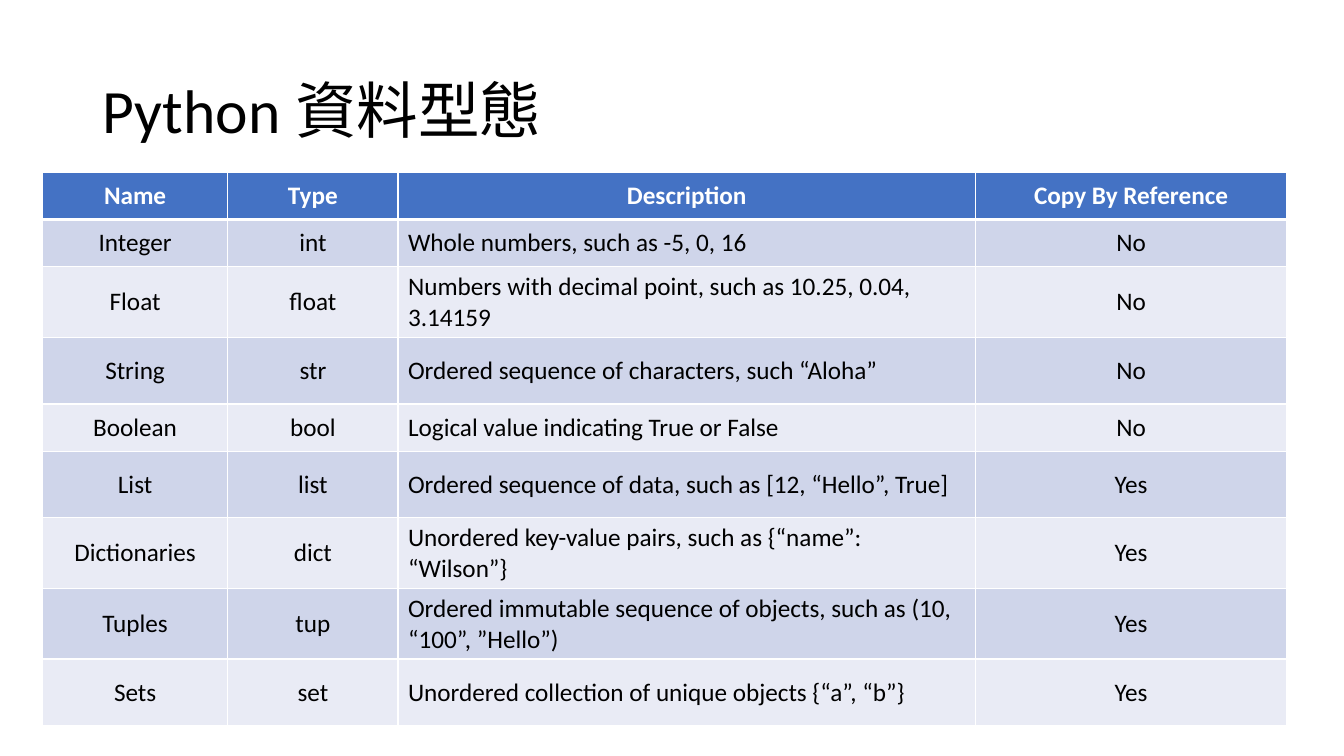
"""Build a slide with a table of the Python data types."""
from dataclasses import dataclass

from lxml.etree import SubElement
from pptx import Presentation
from pptx.dml.color import RGBColor as RGB
from pptx.enum.text import MSO_ANCHOR as Anchor, PP_ALIGN as Align
from pptx.oxml.ns import qn
from pptx.slide import Slide
from pptx.table import _Cell as Cell
from pptx.text.text import _Paragraph as Paragraph
from pptx.util import Cm, Pt


@dataclass(frozen=True)
class Theme:
    font: str = "Calibri"
    title_size: int = 44
    cell_size: int = 18
    text: str = "000000"
    header_text: str = "FFFFFF"
    header_fill: str = "4472C4"
    bands: tuple[str, str] = ("CFD5EA", "E9EBF5")
    border: str = "FFFFFF"
    border_width: int = 1
    header_rule: int = 3


@dataclass(frozen=True)
class DataType:
    name: str
    type: str
    description: str
    by_reference: str
    height: float


THEME = Theme()
LOW, TALL = 1.19, 1.68
COLUMN_WIDTHS = (4.67, 4.29, 14.55, 7.85)
DESCRIPTION_COLUMN = 2
HEADER = DataType("Name", "Type", "Description", "Copy By Reference", LOW)
DATA_TYPES = (
    DataType("Integer", "int", "Whole numbers, such as -5, 0, 16", "No", LOW),
    DataType("Float", "float", "Numbers with decimal point, such as 10.25, 0.04, 3.14159", "No", TALL),
    DataType("String", "str", "Ordered sequence of characters, such “Aloha”", "No", TALL),
    DataType("Boolean", "bool", "Logical value indicating True or False", "No", LOW),
    DataType("List", "list", "Ordered sequence of data, such as [12, “Hello”, True]", "Yes", TALL),
    DataType("Dictionaries", "dict", "Unordered key-value pairs, such as {“name”: “Wilson”}", "Yes", TALL),
    DataType("Tuples", "tup", "Ordered immutable sequence of objects, such as (10, “100”, ”Hello”)", "Yes", TALL),
    DataType("Sets", "set", "Unordered collection of unique objects {“a”, “b”}", "Yes", TALL),
)


def style_text(p: Paragraph, size: int, color: str, bold: bool = False) -> None:
    p.font.name = THEME.font
    p.font.size = Pt(size)
    p.font.bold = bold
    p.font.color.rgb = RGB.from_string(color)


def add_title(s: Slide, text: str) -> None:
    tf = s.shapes.add_textbox(Cm(2.34), Cm(1.02), Cm(29.21), Cm(3.68)).text_frame
    tf.word_wrap = True
    tf.vertical_anchor = Anchor.MIDDLE
    p = tf.paragraphs[0]
    p.text = text
    p.line_spacing = 0.9
    style_text(p, THEME.title_size, THEME.text)


def set_borders(cell: Cell, top: int, bottom: int) -> None:
    side = THEME.border_width
    tc_pr = cell._tc.get_or_add_tcPr()
    for tag, width in (("lnL", side), ("lnR", side), ("lnT", top), ("lnB", bottom)):
        ln = SubElement(tc_pr, qn(f"a:{tag}"), w=str(Pt(width)))
        fill = SubElement(ln, qn("a:solidFill"))
        SubElement(fill, qn("a:srgbClr"), val=THEME.border)


def fill_cell(cell: Cell, text: str, row: int, column: int) -> None:
    is_header = row == 0
    set_borders(
        cell,
        top=THEME.header_rule if row == 1 else THEME.border_width,
        bottom=THEME.header_rule if is_header else THEME.border_width,
    )
    cell.fill.solid()
    fill = THEME.header_fill if is_header else THEME.bands[(row - 1) % 2]
    cell.fill.fore_color.rgb = RGB.from_string(fill)
    cell.vertical_anchor = Anchor.MIDDLE
    p = cell.text_frame.paragraphs[0]
    p.text = text
    is_left = column == DESCRIPTION_COLUMN and not is_header
    p.alignment = Align.LEFT if is_left else Align.CENTER
    style_text(p, THEME.cell_size, THEME.header_text if is_header else THEME.text, is_header)


def add_type_table(s: Slide) -> None:
    rows = (HEADER, *DATA_TYPES)
    width, height = sum(COLUMN_WIDTHS), sum(row.height for row in rows)
    table = s.shapes.add_table(
        len(rows), len(COLUMN_WIDTHS), Cm(1.07), Cm(4.34), Cm(width), Cm(height)
    ).table
    for column, column_width in zip(table.columns, COLUMN_WIDTHS):
        column.width = Cm(column_width)
    for i, row in enumerate(rows):
        table.rows[i].height = Cm(row.height)
        texts = (row.name, row.type, row.description, row.by_reference)
        for j, text in enumerate(texts):
            fill_cell(table.cell(i, j), text, i, j)


def main() -> None:
    prs = Presentation()
    prs.slide_width, prs.slide_height = Cm(33.87), Cm(19.05)
    s = prs.slides.add_slide(prs.slide_layouts[6])
    add_title(s, "Python 資料型態")
    add_type_table(s)
    prs.save("out.pptx")


if __name__ == "__main__":
    main()
